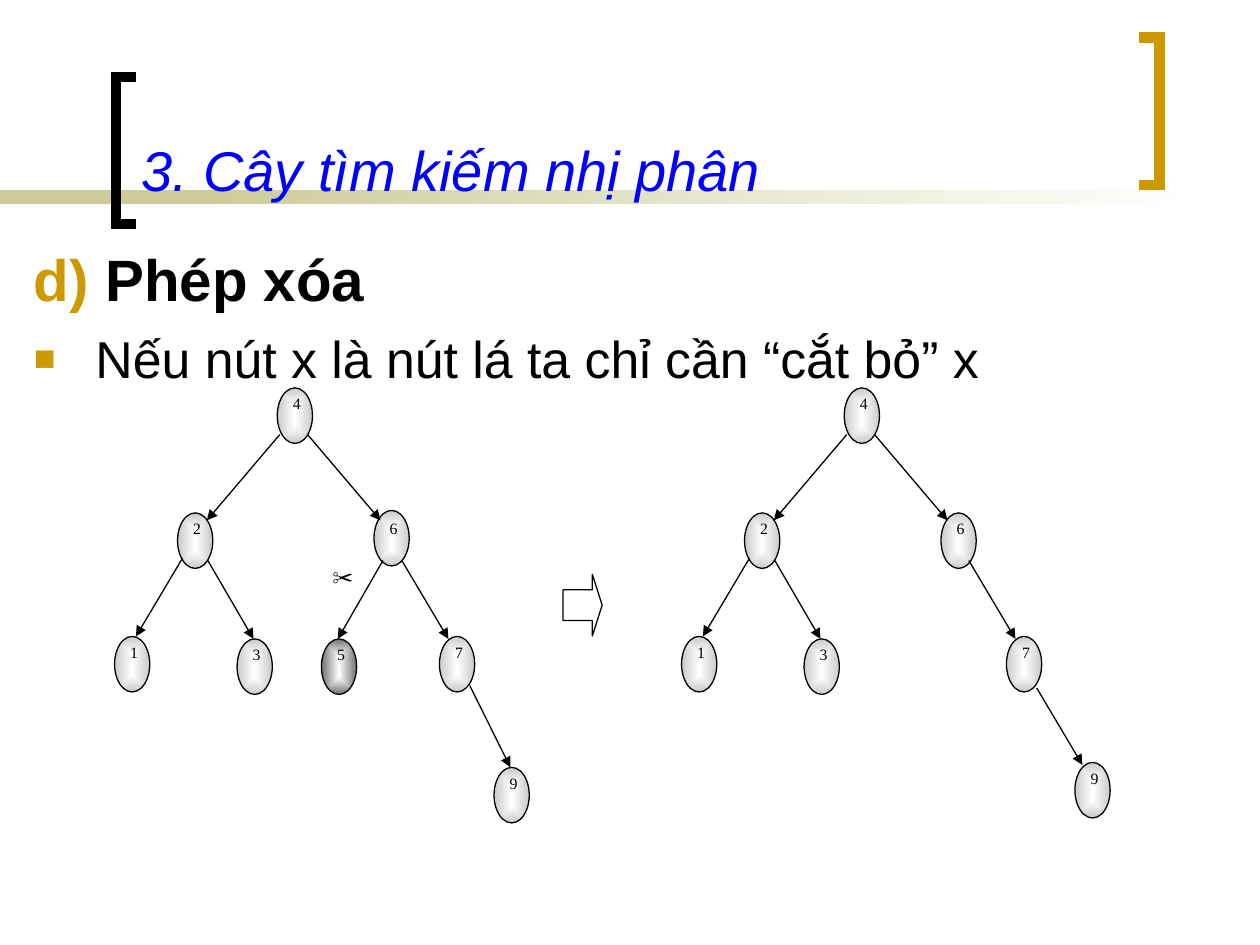
from typing import NamedTuple

from lxml.etree import SubElement
from pptx import Presentation
from pptx.dml.color import RGBColor
from pptx.enum.shapes import MSO_CONNECTOR, MSO_SHAPE
from pptx.enum.text import MSO_ANCHOR, MSO_AUTO_SIZE, PP_ALIGN
from pptx.oxml import parse_xml
from pptx.oxml.ns import nsdecls, qn
from pptx.util import Cm, Pt

BLACK, WHITE, BLUE = "000000", "FFFFFF", "0000FF"
GOLD, OLIVE, LIGHT_GREY, DARK_GREY = "CC9900", "CCCC99", "CACACA", "717171"
LINEAR = '<a:lin ang="0" scaled="0"/>'
FROM_CENTRE = ('<a:path path="rect"><a:fillToRect l="50000" t="50000" '
               'r="50000" b="50000"/></a:path>')
TREE_SHIFT = 11.43


class Node(NamedTuple):
    """A key at its top left corner, in cm within its tree."""
    key: str
    left: float
    top: float
    shade: str = LIGHT_GREY
    label_drop: float = 0


class Edge(NamedTuple):
    x1: float
    y1: float
    x2: float
    y2: float


class Bracket(NamedTuple):
    tip: float
    spine: float
    top: float
    bottom: float
    color: str


BRACKETS = [Bracket(2.74, 2.34, 1.55, 4.52, BLACK),
            Bracket(22.96, 23.37, 0.76, 3.73, GOLD)]
SHARED_NODES = [Node("4", 5.59, 7.82), Node("2", 3.58, 10.34),
                Node("1", 2.31, 12.83), Node("3", 4.78, 12.88),
                Node("7", 8.86, 12.83)]
SHARED_EDGES = [Edge(5.64, 8.76, 4.17, 10.49), Edge(6.2, 8.76, 7.67, 10.49),
                Edge(3.68, 11.25, 2.74, 12.83), Edge(4.19, 11.3, 5.11, 12.88),
                Edge(8.1, 11.3, 9.04, 12.88)]
BEFORE_NODES = [Node("6", 7.54, 10.29, label_drop=0.05),
                Node("5", 6.48, 12.88, DARK_GREY), Node("9", 9.96, 15.47)]
BEFORE_EDGES = [Edge(7.72, 11.3, 6.81, 12.88), Edge(9.47, 13.82, 10.29, 15.47)]
AFTER_NODES = [Node("6", 7.54, 10.34), Node("9", 10.24, 15.37)]
AFTER_EDGES = [Edge(9.47, 13.87, 10.39, 15.42)]


def rgb(color: str) -> RGBColor:
    return RGBColor.from_string(color)


def style_font(font, size: float, color: str, name: str = "Arial",
               bold: bool = False, italic: bool = False) -> None:
    font.name, font.size, font.bold, font.italic = name, Pt(size), bold, italic
    font.color.rgb = rgb(color)


def set_line(shape, color: str, width: float) -> None:
    shape.line.color.rgb = rgb(color)
    shape.line.width = Pt(width)


def set_gradient(shape, start: str, end: str, direction: str) -> None:
    shape.fill.background()
    properties = shape.element.spPr
    gradient = parse_xml(
        f'<a:gradFill {nsdecls("a")} rotWithShape="1"><a:gsLst>'
        f'<a:gs pos="0"><a:srgbClr val="{start}"/></a:gs>'
        f'<a:gs pos="100000"><a:srgbClr val="{end}"/></a:gs>'
        f'</a:gsLst>{direction}</a:gradFill>')
    properties.replace(properties.find(qn("a:noFill")), gradient)


def add_preset(page, kind, left: float, top: float, width: float, height: float):
    shape = page.shapes.add_shape(kind, Cm(left), Cm(top), Cm(width), Cm(height))
    shape.shadow.inherit = False
    return shape


def add_band(page, left: float, width: float, end: str) -> None:
    band = add_preset(page, MSO_SHAPE.RECTANGLE, left, 3.84, width, 0.28)
    set_gradient(band, OLIVE, end, LINEAR)
    band.line.fill.background()


def add_bracket(page, bracket: Bracket) -> None:
    tip, spine, top, bottom, color = bracket
    builder = page.shapes.build_freeform(Cm(tip), Cm(top))
    builder.add_line_segments([(Cm(spine), Cm(top)), (Cm(spine), Cm(bottom)),
                               (Cm(tip), Cm(bottom))], close=False)
    shape = builder.convert_to_shape()
    shape.shadow.inherit = False
    shape.fill.background()
    set_line(shape, color, 6)
    SubElement(shape.element.spPr.find(qn("a:ln")), qn("a:miter"), lim="800000")


def add_label(page, text: str, left: float, top: float, height: float,
              size: float, font_name: str, align) -> None:
    box = page.shapes.add_textbox(Cm(left), Cm(top), Cm(1.19), Cm(height))
    box.text_frame.word_wrap = True
    para = box.text_frame.paragraphs[0]
    para.text = text
    para.alignment = align
    style_font(para.runs[0].font, size, BLACK, font_name)


def add_node(page, node: Node, shift: float) -> None:
    left = node.left + shift
    oval = add_preset(page, MSO_SHAPE.OVAL, left, node.top, 0.71, 1.12)
    set_gradient(oval, WHITE, node.shade, FROM_CENTRE)
    set_line(oval, BLACK, 0.75)
    add_label(page, node.key, left - 0.2, node.top + node.label_drop, 1.24,
              9, "Times New Roman", PP_ALIGN.CENTER)


def add_edge(page, edge: Edge, shift: float) -> None:
    arrow = page.shapes.add_connector(
        MSO_CONNECTOR.STRAIGHT, Cm(edge.x1 + shift), Cm(edge.y1),
        Cm(edge.x2 + shift), Cm(edge.y2))
    set_line(arrow, BLACK, 0.75)
    properties = arrow.element.spPr
    SubElement(properties.find(qn("a:ln")), qn("a:tailEnd"), type="triangle")
    SubElement(properties, qn("a:effectLst"))


def add_tree(page, nodes: list[Node], edges: list[Edge], shift: float) -> None:
    for node in nodes:
        add_node(page, node, shift)
    for edge in edges:
        add_edge(page, edge, shift)


def place(shape, left: float, top: float, width: float, height: float) -> None:
    """Move a placeholder and bring it in front of what is drawn so far."""
    shape.left, shape.top = Cm(left), Cm(top)
    shape.width, shape.height = Cm(width), Cm(height)
    shape.text_frame.auto_size = MSO_AUTO_SIZE.NONE
    shape.element.getparent().append(shape.element)


def fill_title(title) -> None:
    place(title, 2.59, 0.28, 19.89, 3.94)
    title.text_frame.text = "3. Cây tìm kiếm nhị phân"
    title.text_frame.vertical_anchor = MSO_ANCHOR.BOTTOM
    para = title.text_frame.paragraphs[0]
    para.alignment = PP_ALIGN.LEFT
    style_font(para.runs[0].font, 32, BLUE, italic=True)


def fill_body(body) -> None:
    place(body, 0.43, 4.65, 23.5, 3.18)
    frame = body.text_frame
    frame.margin_top = Cm(0.25)
    heading, item = frame.paragraphs[0], frame.add_paragraph()
    for para, space in ((heading, 0), (item, 8)):
        properties = para._p.get_or_add_pPr()
        properties.set("marL", str(Cm(1.24)))
        properties.set("indent", str(Cm(-1.24)))
        para.space_before = Pt(space)
    SubElement(heading._p.pPr, qn("a:buNone"))
    color = SubElement(item._p.pPr, qn("a:buClr"))
    SubElement(color, qn("a:srgbClr"), val=GOLD)
    SubElement(item._p.pPr, qn("a:buSzPct"), val="70000")
    SubElement(item._p.pPr, qn("a:buFont"), typeface="Arial")
    SubElement(item._p.pPr, qn("a:buChar"), char="■")
    for text, shade in (("d)", GOLD), (" Phép xóa", BLACK)):
        span = heading.add_run()
        span.text = text
        style_font(span.font, 33.3, shade, bold=True)
    item.text = "Nếu nút x là nút lá ta chỉ cần “cắt bỏ” x"
    style_font(item.runs[0].font, 29.6, BLACK)


def main() -> None:
    deck = Presentation()
    deck.slide_width, deck.slide_height = Cm(25.4), Cm(19.05)
    page = deck.slides.add_slide(deck.slide_layouts[1])
    add_band(page, 0, 5.92, OLIVE)
    add_band(page, 4.01, 20.12, WHITE)
    for bracket in BRACKETS:
        add_bracket(page, bracket)
    fill_title(page.shapes.title)
    fill_body(page.placeholders[1])

    step = add_preset(page, MSO_SHAPE.RIGHT_ARROW, 11.35, 11.58, 0.79, 1.24)
    step.adjustments[0], step.adjustments[1] = 0.5, 0.25
    step.fill.solid()
    step.fill.fore_color.rgb = rgb(WHITE)
    set_line(step, BLACK, 0.75)
    add_tree(page, SHARED_NODES + BEFORE_NODES, SHARED_EDGES + BEFORE_EDGES, 0)
    add_label(page, "✂", 6.45, 11.25, 1.7, 12, "Arial", PP_ALIGN.LEFT)
    add_tree(page, SHARED_NODES + AFTER_NODES, SHARED_EDGES + AFTER_EDGES, TREE_SHIFT)
    deck.save("out.pptx")


if __name__ == "__main__":
    main()
